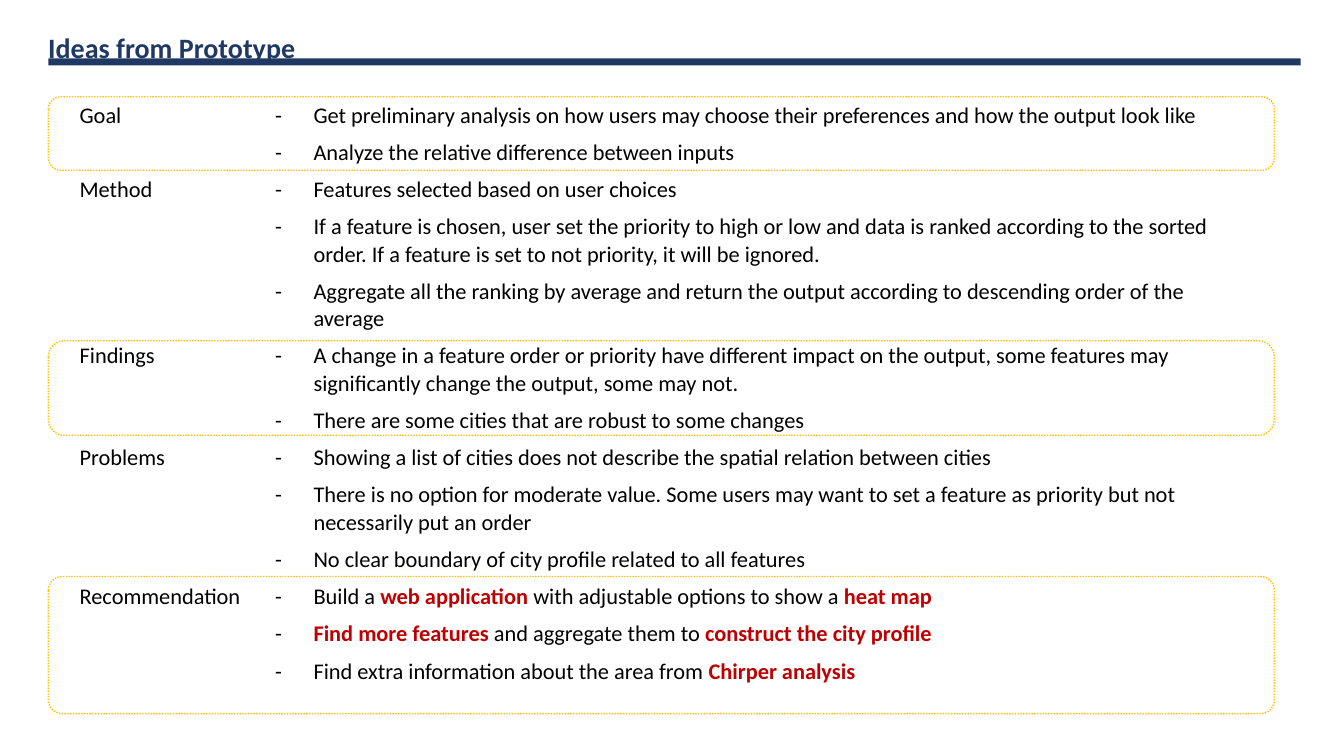
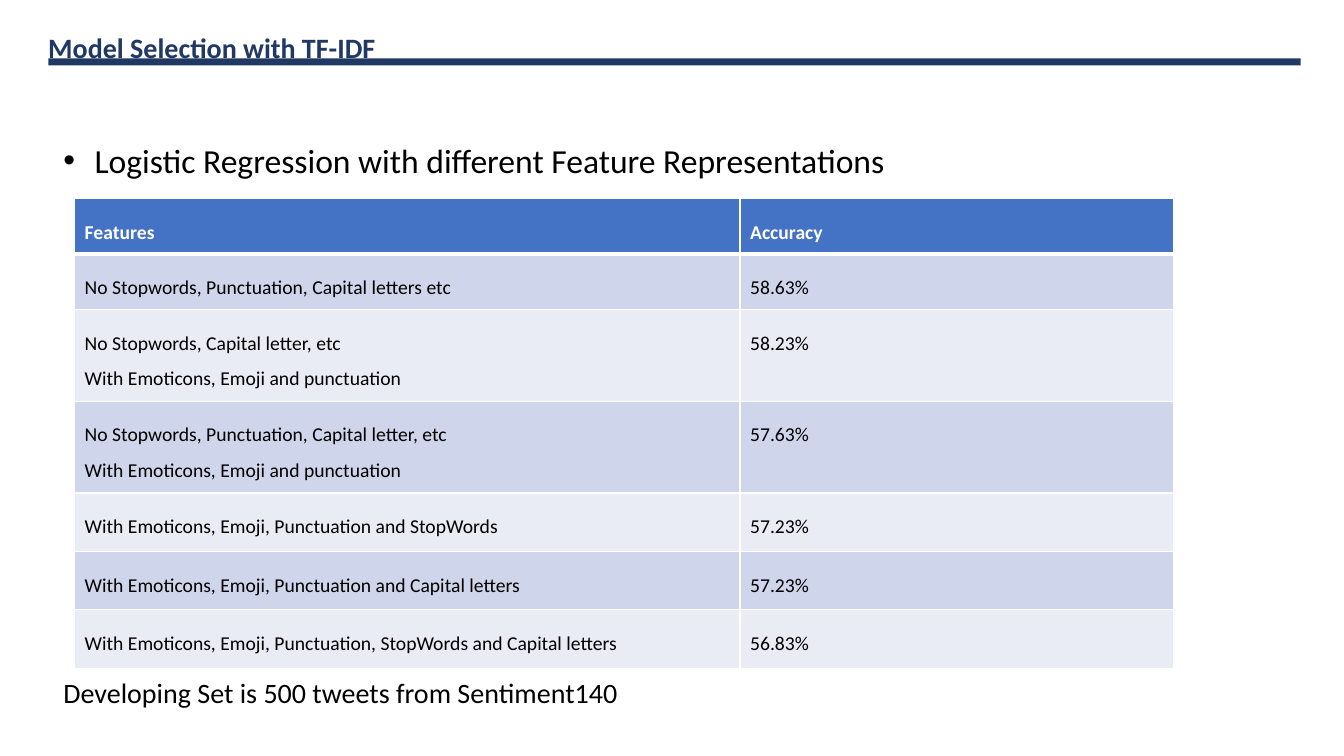
from lxml.etree import SubElement
from pptx import Presentation
from pptx.dml.color import RGBColor
from pptx.enum.dml import MSO_LINE
from pptx.enum.shapes import MSO_SHAPE
from pptx.oxml.ns import qn
from pptx.util import Inches, Pt

FONT = "Calibri"
NAVY, BLACK, WHITE, RED, AMBER = "203864", "000000", "FFFFFF", "C00000", "FFC000"
HEADER_BLUE, BAND_DARK, BAND_LIGHT = "4472C4", "CFD5EA", "E9EBF5"

IDEAS_TITLE = "Ideas from Prototype"
# Each point is (text, number of lines); words between asterisks are emphasised.
IDEAS = [
    ("Goal", [
        ("Get preliminary analysis on how users may choose their preferences "
         "and how the output look like", 1),
        ("Analyze the relative difference between inputs", 1),
    ]),
    ("Method", [
        ("Features selected based on user choices", 1),
        ("If a feature is chosen, user set the priority to high or low and data is ranked "
         "according to the sorted order. If a feature is set to not priority, "
         "it will be ignored.", 2),
        ("Aggregate all the ranking by average and return the output according to "
         "descending order of the average", 2),
    ]),
    ("Findings", [
        ("A change in a feature order or priority have different impact on the output, "
         "some features may significantly change the output, some may not.", 2),
        ("There are some cities that are robust to some changes", 1),
    ]),
    ("Problems", [
        ("Showing a list of cities does not describe the spatial relation between cities", 1),
        ("There is no option for moderate value. Some users may want to set a feature as "
         "priority but not necessarily put an order", 2),
        ("No clear boundary of city profile related to all features", 1),
    ]),
    ("Recommendation", [
        ("Build a *web application *with adjustable options to show a *heat map*", 1),
        ("*Find more features *and aggregate them to *construct the city profile*", 1),
        ("Find extra information about the area from *Chirper analysis*", 1),
    ]),
]
IDEA_COLUMNS = [1.94, 0.38, 9.12]
LINE_HEIGHTS = {1: 0.37, 2: 0.64}
# Top, height and corner ratio of the dotted frames
FRAMES = [(0.96, 0.73, 0.17), (3.38, 0.94, 0.17), (5.72, 1.36, 0.1)]

MODEL_TITLE = "Model Selection with TF-IDF"
MODEL_HEADING = "Logistic Regression with different Feature Representations"
MODEL_NOTE = "Developing Set is 500 tweets from Sentiment140"
ACCURACY = [
    ("Features", "Accuracy"),
    ("No Stopwords, Punctuation, Capital letters etc", "58.63%"),
    ("No Stopwords, Capital letter, etc\nWith Emoticons, Emoji and punctuation", "58.23%"),
    ("No Stopwords, Punctuation, Capital letter, etc\n"
     "With Emoticons, Emoji and punctuation", "57.63%"),
    ("With Emoticons, Emoji, Punctuation and StopWords", "57.23%"),
    ("With Emoticons, Emoji, Punctuation and Capital letters", "57.23%"),
    ("With Emoticons, Emoji, Punctuation, StopWords and Capital letters", "56.83%"),
]
ACCURACY_COLUMNS = [6.6, 4.3]
ACCURACY_ROWS = [0.55, 0.55, 0.91, 0.91, 0.58, 0.58, 0.58]


def rgb(color):
    return RGBColor.from_string(color)


def write_text(frame, text, size=16, color=BLACK, bold=False, spacing=None, bullet=None):
    """Fill a frame, one paragraph per line; parts between asterisks are bold red."""
    for number, line in enumerate(text.split("\n")):
        paragraph = frame.add_paragraph() if number else frame.paragraphs[0]
        if bullet:
            properties = paragraph._p.get_or_add_pPr()
            properties.set("marL", str(Inches(0.31)))
            properties.set("indent", str(-Inches(0.31)))
            SubElement(properties, qn("a:buFont"), typeface="Arial")
            SubElement(properties, qn("a:buChar"), char=bullet)
        if spacing:
            paragraph.line_spacing = spacing
        for part_number, part in enumerate(line.split("*")):
            if not part:
                continue
            emphasised = part_number % 2 == 1
            run = paragraph.add_run()
            run.text = part
            run.font.name = FONT
            run.font.size = Pt(size)
            run.font.bold = bold or emphasised
            run.font.color.rgb = rgb(RED if emphasised else color)


def add_text(slide, text, left, top, width, height, **text_format):
    frame = slide.shapes.add_textbox(
        Inches(left), Inches(top), Inches(width), Inches(height)).text_frame
    frame.word_wrap = True
    write_text(frame, text, **text_format)


def add_shape(slide, preset, left, top, width, height, fill=None):
    shape = slide.shapes.add_shape(
        preset, Inches(left), Inches(top), Inches(width), Inches(height))
    shape.shadow.inherit = False
    if fill:
        shape.fill.solid()
        shape.fill.fore_color.rgb = rgb(fill)
        shape.line.fill.background()
    else:
        shape.fill.background()
    return shape


def add_plain_table(slide, left, top, columns, rows):
    """Add a table with the given column widths and row heights, without banding."""
    table = slide.shapes.add_table(
        len(rows), len(columns), Inches(left), Inches(top),
        Inches(sum(columns)), Inches(sum(rows))).table
    table.first_row = table.horz_banding = False
    for column, width in zip(table.columns, columns):
        column.width = Inches(width)
    for row, height in zip(table.rows, rows):
        row.height = Inches(height)
    return table


def set_borders(cell, color, **widths):
    properties = cell._tc.get_or_add_tcPr()
    for side, width in widths.items():
        line = SubElement(properties, qn(f"a:ln{side}"), w=str(Pt(width)))
        SubElement(SubElement(line, qn("a:solidFill")), qn("a:srgbClr"), val=color)


def add_slide(presentation, title):
    """Add a blank slide with the shared title and the band below it."""
    slide = presentation.slides.add_slide(presentation.slide_layouts[6])
    add_text(slide, title, 0.38, 0.25, 6.73, 0.44, size=20, color=NAVY, bold=True)
    add_shape(slide, MSO_SHAPE.RECTANGLE, 0.48, 0.58, 12.42, 0.07, fill=NAVY)
    return slide


def build_ideas(presentation):
    slide = add_slide(presentation, IDEAS_TITLE)
    heights = [LINE_HEIGHTS[lines] for _, points in IDEAS for _, lines in points]
    table = add_plain_table(slide, 0.69, 0.96, IDEA_COLUMNS, heights)
    for cell in table.iter_cells():
        cell.fill.background()
    row = 0
    for topic, points in IDEAS:
        topic_cell = table.cell(row, 0)
        topic_cell.merge(table.cell(row + len(points) - 1, 0))
        write_text(topic_cell.text_frame, topic)
        for text, _ in points:
            write_text(table.cell(row, 1).text_frame, "-")
            write_text(table.cell(row, 2).text_frame, text)
            row += 1
    for top, height, corner in FRAMES:
        frame = add_shape(slide, MSO_SHAPE.ROUNDED_RECTANGLE, 0.48, top, 12.16, height)
        frame.adjustments[0] = corner
        frame.line.color.rgb = rgb(AMBER)
        frame.line.width = Pt(1)
        frame.line.dash_style = MSO_LINE.ROUND_DOT


def build_model(presentation):
    slide = add_slide(presentation, MODEL_TITLE)
    add_text(slide, MODEL_HEADING, 0.53, 1.14, 10.08, 0.64,
             size=24, spacing=1.5, bullet="•")
    add_text(slide, MODEL_NOTE, 0.53, 6.49, 12.3, 0.6, size=20, spacing=1.5)
    table = add_plain_table(slide, 0.74, 1.97, ACCURACY_COLUMNS, ACCURACY_ROWS)
    table.first_row = True
    for row, texts in enumerate(ACCURACY):
        header = row == 0
        fill = HEADER_BLUE if header else (BAND_LIGHT, BAND_DARK)[row % 2]
        for column, text in enumerate(texts):
            cell = table.cell(row, column)
            cell.margin_left = cell.margin_right = Inches(0.1)
            cell.margin_top = cell.margin_bottom = Inches(0.1)
            set_borders(cell, WHITE, L=1, R=1, T=3 if row == 1 else 1, B=3 if header else 1)
            cell.fill.solid()
            cell.fill.fore_color.rgb = rgb(fill)
            write_text(cell.text_frame, text, size=14, bold=header, spacing=1.5,
                       color=WHITE if header else BLACK)


def main():
    presentation = Presentation()
    presentation.slide_width = Inches(13.33)
    presentation.slide_height = Inches(7.5)
    build_ideas(presentation)
    build_model(presentation)
    presentation.save("out.pptx")


if __name__ == "__main__":
    main()
